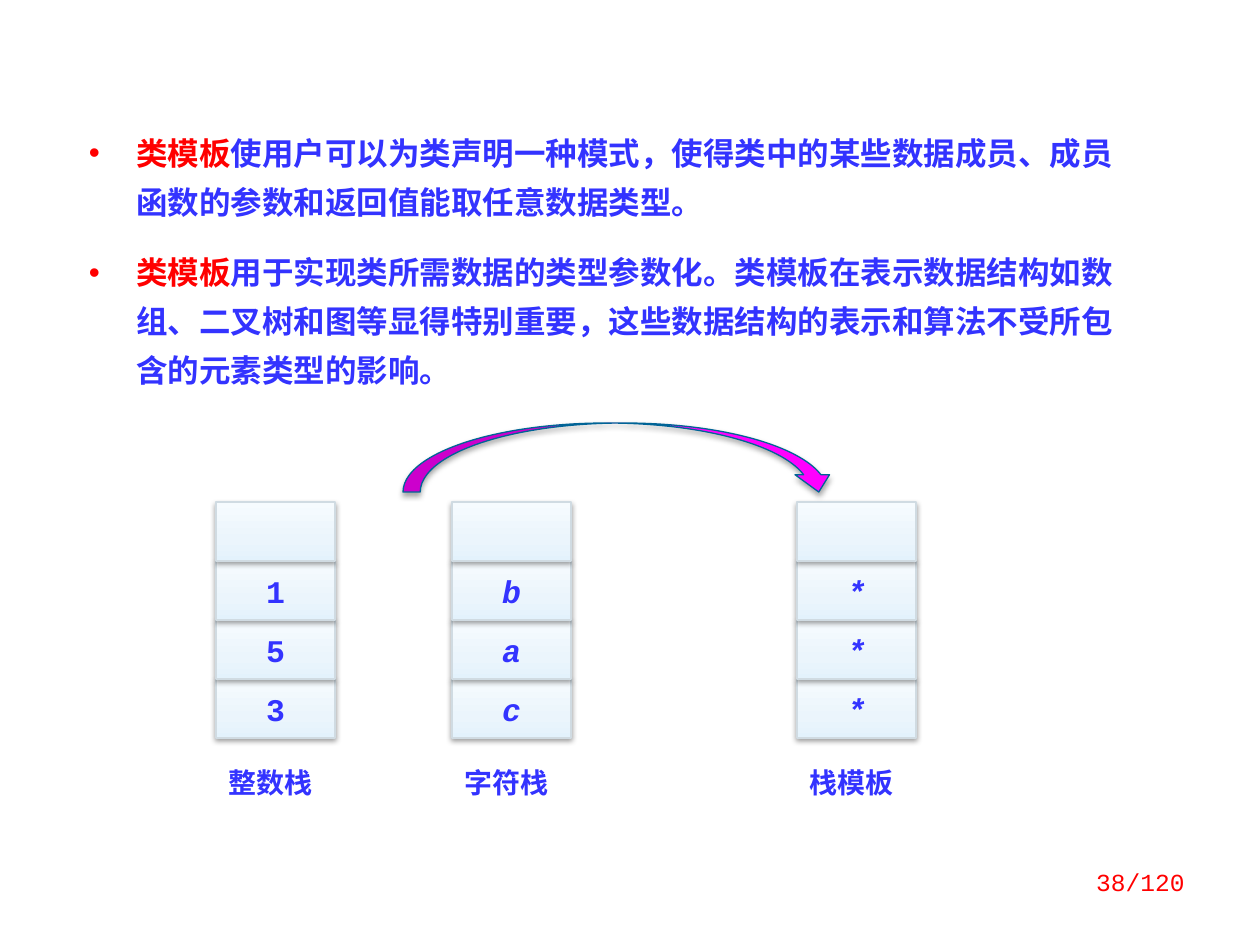
"""Build the slide that introduces class templates with three stacks."""
from copy import deepcopy

from pptx import Presentation
from pptx.dml.color import RGBColor
from pptx.enum.shapes import MSO_SHAPE as Shape
from pptx.enum.text import MSO_ANCHOR as Anchor, MSO_AUTO_SIZE as AutoSize, PP_ALIGN as Align
from pptx.oxml import parse_xml
from pptx.oxml.ns import nsdecls, qn
from pptx.util import Pt

PX = 914400 / 126
BLUE = RGBColor(0x33, 0x33, 0xFF)
RED = RGBColor(0xFF, 0x00, 0x00)
WHITE = RGBColor(0xFF, 0xFF, 0xFF)
MAGENTA = RGBColor(0xFF, 0x00, 0xFF)
ARROW_EDGE = RGBColor(0x00, 0x64, 0x96)
CELL_EDGE = RGBColor(0xD0, 0xDB, 0xE2)
CELL_STOPS = [
    (0, RGBColor(0xE3, 0xF2, 0xFC)),
    (0.35, RGBColor(0xEB, 0xF5, 0xFC)),
    (1, RGBColor(0xF6, 0xFB, 0xFE)),
]
CODE_FONT = "Courier New"
TERM_FONT = "Noto Sans CJK JP"
LABEL_FONT = "Noto Sans CJK SC"

POINTS = [
    "使用户可以为类声明一种模式，使得类中的某些数据成员、成员函数的参数和返回值能取任意数据类型。",
    "用于实现类所需数据的类型参数化。类模板在表示数据结构如数组、二叉树和图等显得特别重要，这些数据结构的表示和算法不受所包含的元素类型的影响。",
]
STACKS = [
    (216, "整数栈", ["", "1", "5", "3"], False),
    (452, "字符栈", ["", "b", "a", "c"], True),
    (797, "栈模板", ["", "*", "*", "*"], True),
]
CELL_WIDTH, CELL_HEIGHT, STACK_TOP = 119, 59, 502


def px(*lengths):
    return [round(length * PX) for length in lengths]


def finish(shape, edge, alpha, distance):
    shape.line.color.rgb = edge
    shape.line.width = Pt(0.75)
    shape.shadow.inherit = False
    effects = shape._element.spPr.find(qn("a:effectLst"))
    effects.append(parse_xml(
        f'<a:outerShdw {nsdecls("a")} blurRad="40000" dist="{distance}" dir="5400000" rotWithShape="0">'
        f'<a:srgbClr val="000000"><a:alpha val="{alpha}000"/></a:srgbClr></a:outerShdw>'))


deck = Presentation()
deck.slide_width, deck.slide_height = px(1260, 945)
page = deck.slides.add_slide(deck.slide_layouts[1])
title = page.shapes.title._element
title.getparent().remove(title)

body = page.placeholders[1]
body.left, body.top, body.width, body.height = px(69, 108, 1074, 299)
body.fill.solid()
body.fill.fore_color.rgb = WHITE
frame = body.text_frame
frame.auto_size = AutoSize.NONE
frame.margin_left, frame.margin_top, frame.margin_right, frame.margin_bottom = px(20, 15, 13, 15)
for number, point in enumerate(POINTS):
    para = frame.add_paragraph() if number else frame.paragraphs[0]
    para.line_spacing = Pt(28)
    para.space_before = Pt(12)
    for text, font, color in [("类模板", TERM_FONT, RED), (point, CODE_FONT, BLUE)]:
        span = para.add_run()
        span.text = text
        span.font.name = font
        span.font.size = Pt(18)
        span.font.bold = True
        span.font.color.rgb = color

for left, label, values, italic in STACKS:
    for row, value in reversed(list(enumerate(values))):
        cell = page.shapes.add_shape(
            Shape.RECTANGLE, *px(left, STACK_TOP + row * CELL_HEIGHT, CELL_WIDTH, CELL_HEIGHT))
        cell.fill.gradient()
        cell.fill.gradient_angle = 90
        stop_list = cell._element.spPr.find(qn("a:gradFill")).find(qn("a:gsLst"))
        stop_list.append(deepcopy(stop_list[0]))
        for stop, (position, color) in zip(cell.fill.gradient_stops, CELL_STOPS):
            stop.position = position
            stop.color.rgb = color
        finish(cell, CELL_EDGE, 38, 20000)
        if value:
            cell.text_frame.word_wrap = False
            cell.text_frame.vertical_anchor = Anchor.MIDDLE
            para = cell.text_frame.paragraphs[0]
            para.text = value
            para.alignment = Align.CENTER
            para.font.name = CODE_FONT
            para.font.size = Pt(18)
            para.font.bold = True
            para.font.italic = italic
            para.font.color.rgb = BLUE
    box = page.shapes.add_textbox(*px(left, 759, CELL_WIDTH, 47))
    box.text_frame.word_wrap = True
    para = box.text_frame.paragraphs[0]
    para.text = label
    para.font.name = LABEL_FONT
    para.font.size = Pt(16)
    para.font.bold = True
    para.font.color.rgb = BLUE

arrow = page.shapes.add_shape(Shape.CURVED_DOWN_ARROW, *px(403, 423, 433, 69))
arrow.fill.solid()
arrow.fill.fore_color.rgb = MAGENTA
finish(arrow, ARROW_EDGE, 35, 23000)

box = page.shapes.add_textbox(*px(903, 861, 294, 63))
box.text_frame.word_wrap = True
para = box.text_frame.paragraphs[0]
para.text = "38/120"
para.alignment = Align.RIGHT
para.font.name = CODE_FONT
para.font.size = Pt(14)
para.font.color.rgb = RED

deck.save("out.pptx")
